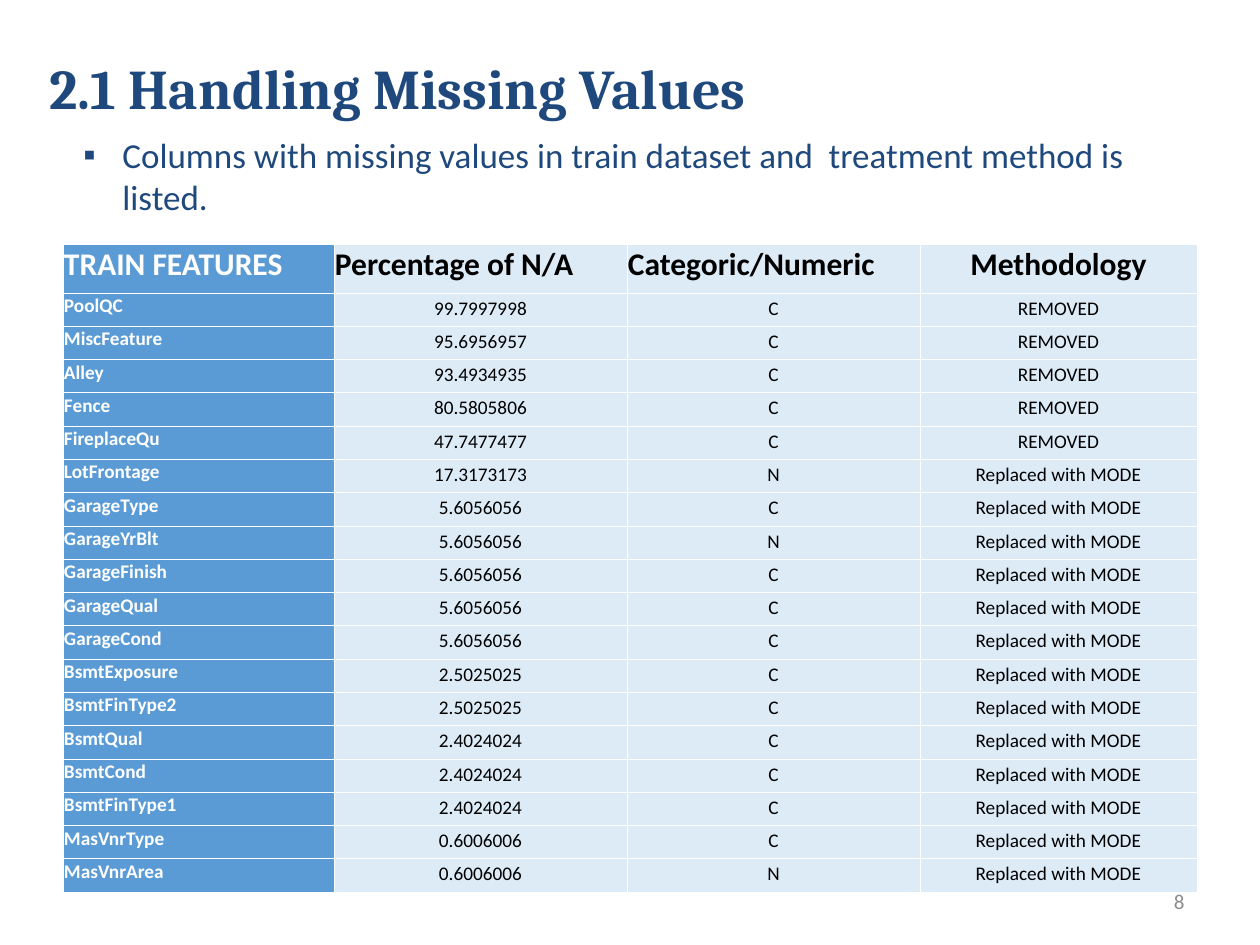
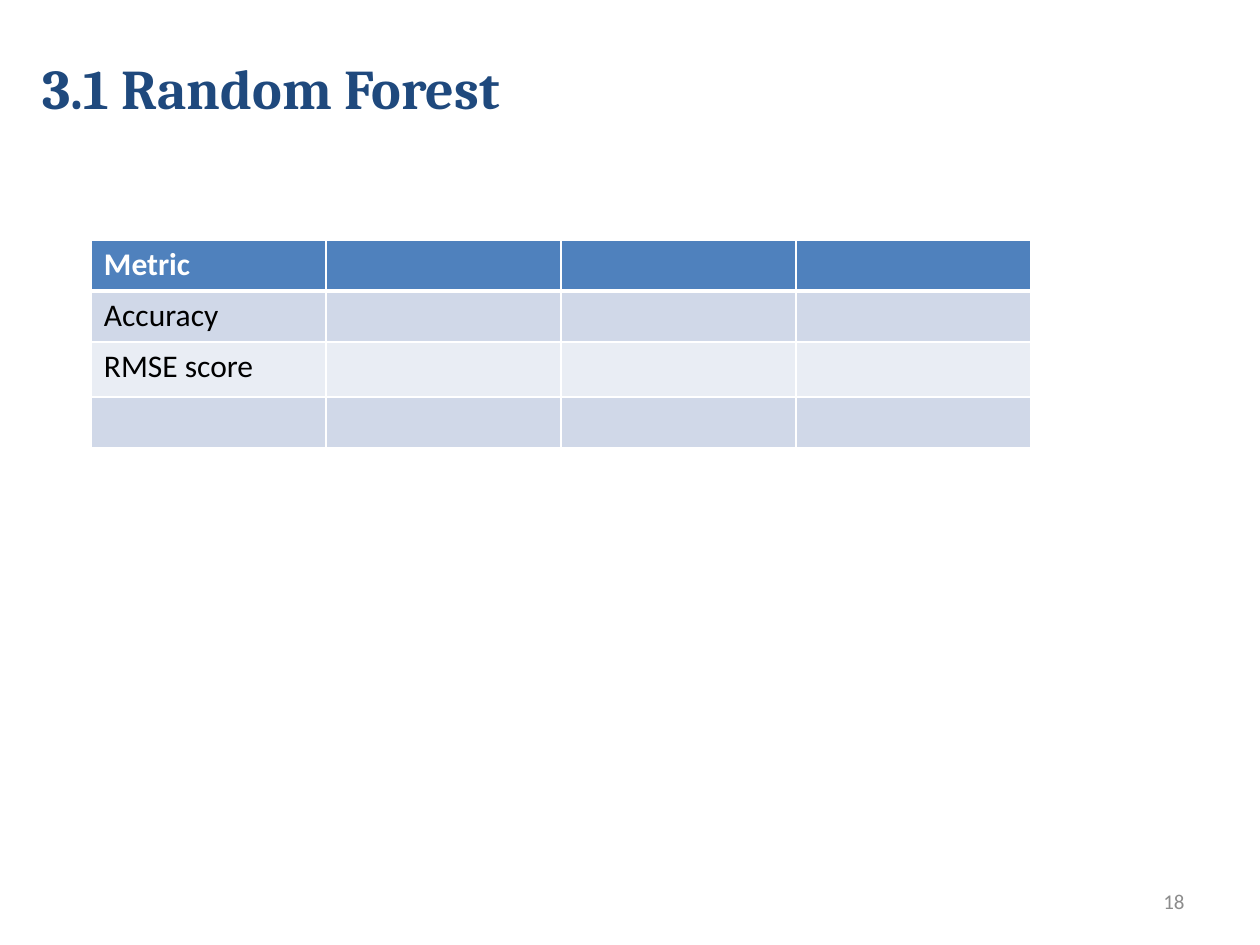
from lxml import etree
from pptx import Presentation
from pptx.dml.color import RGBColor
from pptx.enum.text import MSO_ANCHOR, PP_ALIGN
from pptx.oxml.ns import qn
from pptx.util import Emu, Pt

LEFT, CENTER, RIGHT = PP_ALIGN.LEFT, PP_ALIGN.CENTER, PP_ALIGN.RIGHT
TOP, MIDDLE, BOTTOM = MSO_ANCHOR.TOP, MSO_ANCHOR.MIDDLE, MSO_ANCHOR.BOTTOM

PX_PER_INCH = 126
SLIDE_SIZE = (1260, 945)
BLANK_LAYOUT = 6

# Shared style
HEADING_FONT, BODY_FONT = "Cambria", "Calibri"
NAVY, GRAY, WHITE, BLACK = "1F497D", "8C8C8C", "FFFFFF", "000000"
FEATURE_FILL, VALUE_FILL = "5B9BD5", "DDEBF7"
METRIC_HEADER_FILL = "4F81BD"
METRIC_BANDS = ("D0D8E8", "E9EDF4")
DEFAULT_INSETS = (13, 6, 13, 6)
TIGHT_INSETS = (1, 1, 1, 6)

# Features at or above this percentage of missing values are removed
REMOVAL_LIMIT = 40
FEATURE_HEADERS = ("TRAIN FEATURES", "Percentage of N/A",
                   "Categoric/Numeric", "Methodology")
FEATURES = (
    ("PoolQC", "99.7997998", "C"),
    ("MiscFeature", "95.6956957", "C"),
    ("Alley", "93.4934935", "C"),
    ("Fence", "80.5805806", "C"),
    ("FireplaceQu", "47.7477477", "C"),
    ("LotFrontage", "17.3173173", "N"),
    ("GarageType", "5.6056056", "C"),
    ("GarageYrBlt", "5.6056056", "N"),
    ("GarageFinish", "5.6056056", "C"),
    ("GarageQual", "5.6056056", "C"),
    ("GarageCond", "5.6056056", "C"),
    ("BsmtExposure", "2.5025025", "C"),
    ("BsmtFinType2", "2.5025025", "C"),
    ("BsmtQual", "2.4024024", "C"),
    ("BsmtCond", "2.4024024", "C"),
    ("BsmtFinType1", "2.4024024", "C"),
    ("MasVnrType", "0.6006006", "C"),
    ("MasVnrArea", "0.6006006", "N"),
)
METRICS = ("Metric", "Accuracy", "RMSE score", "")


def px(length):
    return Emu(round(length * 914400 / PX_PER_INCH))


def color(hex_string):
    return RGBColor.from_string(hex_string)


def write_text(frame, text, size=18, font=BODY_FONT, ink=BLACK, bold=False, align=LEFT):
    paragraph = frame.paragraphs[0]
    paragraph.alignment = align
    run = paragraph.add_run()
    run.text = text
    run.font.name = font
    run.font.size = Pt(size)
    run.font.bold = bold
    run.font.color.rgb = color(ink)
    return paragraph


def add_text(slide, box, text, anchor=TOP, **text_format):
    frame = slide.shapes.add_textbox(*map(px, box)).text_frame
    frame.word_wrap = True
    frame.vertical_anchor = anchor
    return write_text(frame, text, **text_format)


def add_title(slide, box, text):
    add_text(slide, box, text, MIDDLE, size=32, font=HEADING_FONT, ink=NAVY, bold=True)


def add_page_number(slide, number):
    add_text(slide, (903, 876, 294, 50), str(number), MIDDLE,
             size=12, ink=GRAY, align=RIGHT)


def add_bullet(slide, box, text):
    paragraph = add_text(slide, box, text, size=20, ink=NAVY)
    properties = paragraph._p.get_or_add_pPr()
    properties.set("marL", str(px(39)))
    properties.set("indent", str(-px(39)))
    etree.SubElement(properties, qn("a:buFont"), typeface="Arial")
    etree.SubElement(properties, qn("a:buChar"), char="▪")


def add_grid(slide, box, column_widths, row_heights):
    table = slide.shapes.add_table(
        len(row_heights), len(column_widths), *map(px, box)).table
    table.first_row = table.horz_banding = False
    for column, width in zip(table.columns, column_widths):
        column.width = px(width)
    for row, height in zip(table.rows, row_heights):
        row.height = px(height)
    return table


def set_borders(cell, **widths):
    properties = cell._tc.get_or_add_tcPr()
    for side in ("L", "R", "T", "B"):
        line = etree.SubElement(properties, qn(f"a:ln{side}"), w=str(Pt(widths[side])))
        fill = etree.SubElement(line, qn("a:solidFill"))
        etree.SubElement(fill, qn("a:srgbClr"), val=WHITE)


def fill_cell(cell, text, fill, border, top=None, bottom=None,
              insets=DEFAULT_INSETS, anchor=TOP, **text_format):
    set_borders(cell, L=border, R=border, T=top or border, B=bottom or border)
    cell.fill.solid()
    cell.fill.fore_color.rgb = color(fill)
    cell.margin_left, cell.margin_top, cell.margin_right, cell.margin_bottom = map(px, insets)
    cell.vertical_anchor = anchor
    if text:
        write_text(cell.text_frame, text, **text_format)


def add_feature_table(slide, box):
    header_height = 49
    body_height = (box[3] - header_height) / len(FEATURES)
    table = add_grid(slide, box, (271, 293, 293, 277),
                     [header_height] + [body_height] * len(FEATURES))

    def fill_feature_cell(row, column, text, **cell_format):
        is_name = column == 0
        fill_cell(table.cell(row, column), text, FEATURE_FILL if is_name else VALUE_FILL,
                  0.5, insets=TIGHT_INSETS, ink=WHITE if is_name else BLACK, **cell_format)

    # Header row
    for column, text in enumerate(FEATURE_HEADERS):
        fill_feature_cell(0, column, text, bold=True,
                          align=CENTER if text == "Methodology" else LEFT)
    # One row per feature
    for row, (name, percentage, kind) in enumerate(FEATURES, 1):
        removed = float(percentage) >= REMOVAL_LIMIT
        method = "REMOVED" if removed else "Replaced with MODE"
        fill_feature_cell(row, 0, name, size=11, bold=True)
        for column, text in enumerate((percentage, kind, method), 1):
            fill_feature_cell(row, column, text, size=11, anchor=BOTTOM, align=CENTER)


def add_metric_table(slide, box):
    columns = 4
    table = add_grid(slide, box, [box[2] / columns] * columns, (51, 51, 55, 51))
    for row, label in enumerate(METRICS):
        is_header = row == 0
        fill = METRIC_HEADER_FILL if is_header else METRIC_BANDS[(row - 1) % 2]
        for column in range(columns):
            fill_cell(table.cell(row, column), label if column == 0 else "", fill, 1,
                      top=3 if row == 1 else None, bottom=3 if is_header else None,
                      ink=WHITE if is_header else BLACK, bold=is_header)


def build_missing_values(slide):
    add_page_number(slide, 8)
    add_feature_table(slide, (63, 244, 1134, 649))
    add_title(slide, (37, 8, 1134, 158), "2.1 Handling Missing Values")
    add_bullet(slide, (71, 127, 1138, 97),
               "Columns with missing values in train dataset and  treatment method is listed.")


def build_random_forest(slide):
    add_page_number(slide, 18)
    add_metric_table(slide, (91, 240, 940, 208))
    add_title(slide, (30, 8, 1134, 158), "3.1 Random Forest")


def main():
    presentation = Presentation()
    presentation.slide_width, presentation.slide_height = map(px, SLIDE_SIZE)
    for build in (build_missing_values, build_random_forest):
        build(presentation.slides.add_slide(presentation.slide_layouts[BLANK_LAYOUT]))
    presentation.save("out.pptx")


if __name__ == "__main__":
    main()
